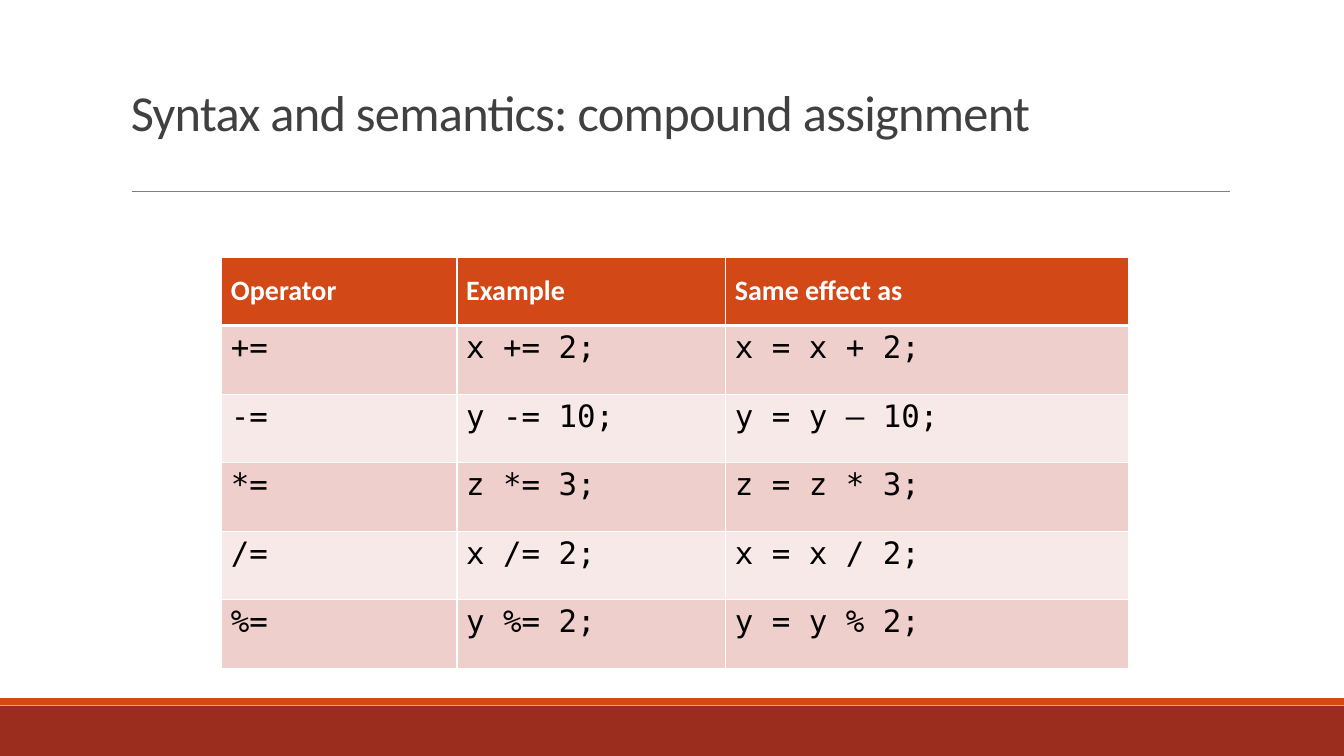
from pptx import Presentation
from pptx import util as u
from pptx.dml import color
from pptx.enum import shapes, text
from pptx.oxml import ns
from lxml import etree

Pt = u.Pt
HUES = {
    "brick": "9B2D1F", "rust": "D34817", "rule": "808080", "title": "404040",
    "white": "FFFFFF", "black": "000000", "rose": "EFCFCC", "pale": "F7E9E8",
}
SANS, MONO = "Calibri", "DejaVu Sans Mono"


class Deck:
    def __init__(self, wide, high):
        self.prs = Presentation()
        self.prs.slide_width, self.prs.slide_height = Pt(wide), Pt(high)
        self.slide = self.prs.slides.add_slide(self.prs.slide_layouts[6])

    def hue(self, name):
        return color.RGBColor.from_string(HUES[name])

    def paint(self, item, name):
        item.fill.solid()
        item.fill.fore_color.rgb = self.hue(name)

    def run(self, para, words, size, font, name, bold=False):
        run = para.add_run()
        run.text = words
        run.font.size, run.font.name, run.font.bold = Pt(size), font, bold
        run.font.color.rgb = self.hue(name)
        return run

    def bar(self, x, y, w, h, name):
        bar = self.slide.shapes.add_shape(
            shapes.MSO_SHAPE.RECTANGLE, Pt(x), Pt(y), Pt(w), Pt(h))
        bar.shadow.inherit = False
        self.paint(bar, name)
        bar.line.fill.background()

    def rule(self, x, y, end, name, width):
        rule = self.slide.shapes.add_connector(
            shapes.MSO_CONNECTOR.STRAIGHT, Pt(x), Pt(y), Pt(end), Pt(y))
        rule.line.color.rgb = self.hue(name)
        rule.line.width = Pt(width)
        etree.SubElement(rule._element.spPr, ns.qn("a:effectLst"))

    def title(self, x, y, w, h, words):
        frame = self.slide.shapes.add_textbox(Pt(x), Pt(y), Pt(w), Pt(h)).text_frame
        frame.word_wrap = True
        frame.vertical_anchor = text.MSO_ANCHOR.BOTTOM
        para = frame.paragraphs[0]
        para.line_spacing = 0.85
        run = self.run(para, words, 36, SANS, "title")
        run.font._element.set("spc", "-50")

    def edge(self, cell, side, width):
        props = cell._tc.get_or_add_tcPr()
        line = etree.SubElement(props, ns.qn("a:ln" + side), w=str(Pt(width)))
        fill = etree.SubElement(line, ns.qn("a:solidFill"))
        etree.SubElement(fill, ns.qn("a:srgbClr"), val=HUES["white"])

    def cell(self, cell, words, row):
        head = row == 0
        for side in "LRTB":
            thick = (row, side) in ((0, "B"), (1, "T"))
            self.edge(cell, side, 3 if thick else 1)
        self.paint(cell, "rust" if head else "rose" if row % 2 else "pale")
        cell.margin_left = cell.margin_right = Pt(6.6)
        cell.margin_top = cell.margin_bottom = Pt(3.3)
        para = cell.text_frame.paragraphs[0]
        if head:
            cell.vertical_anchor = text.MSO_ANCHOR.MIDDLE
            self.run(para, words, 20, SANS, "white", True)
        else:
            cell.vertical_anchor = text.MSO_ANCHOR.TOP
            self.run(para, words, 22, MONO, "black")

    def table(self, x, y, cols, high, rows):
        table = self.slide.shapes.add_table(
            len(rows), len(cols), Pt(x), Pt(y),
            Pt(sum(cols)), Pt(high * len(rows))).table
        for col, wide in zip(table.columns, cols):
            col.width = Pt(wide)
        for i, row in enumerate(rows):
            table.rows[i].height = Pt(high)
            for j, words in enumerate(row):
                self.cell(table.cell(i, j), words, i)


def main():
    deck = Deck(960, 540)
    deck.bar(0, 504, 960, 36, "brick")
    deck.bar(0, 498.75, 960, 5, "rust")
    deck.rule(94.2, 136.6, 878.8, "rule", 0.5)
    deck.title(86.4, 22.6, 792, 82, "Syntax and semantics: compound assignment")
    deck.table(158.4, 183.6, (168, 192, 288), 48.96, (
        ("Operator", "Example", "Same effect as"),
        ("+=", "x += 2;", "x = x + 2;"),
        ("-=", "y -= 10;", "y = y – 10;"),
        ("*=", "z *= 3;", "z = z * 3;"),
        ("/=", "x /= 2;", "x = x / 2;"),
        ("%=", "y %= 2;", "y = y % 2;"),
    ))
    deck.prs.save("out.pptx")


if __name__ == "__main__":
    main()
